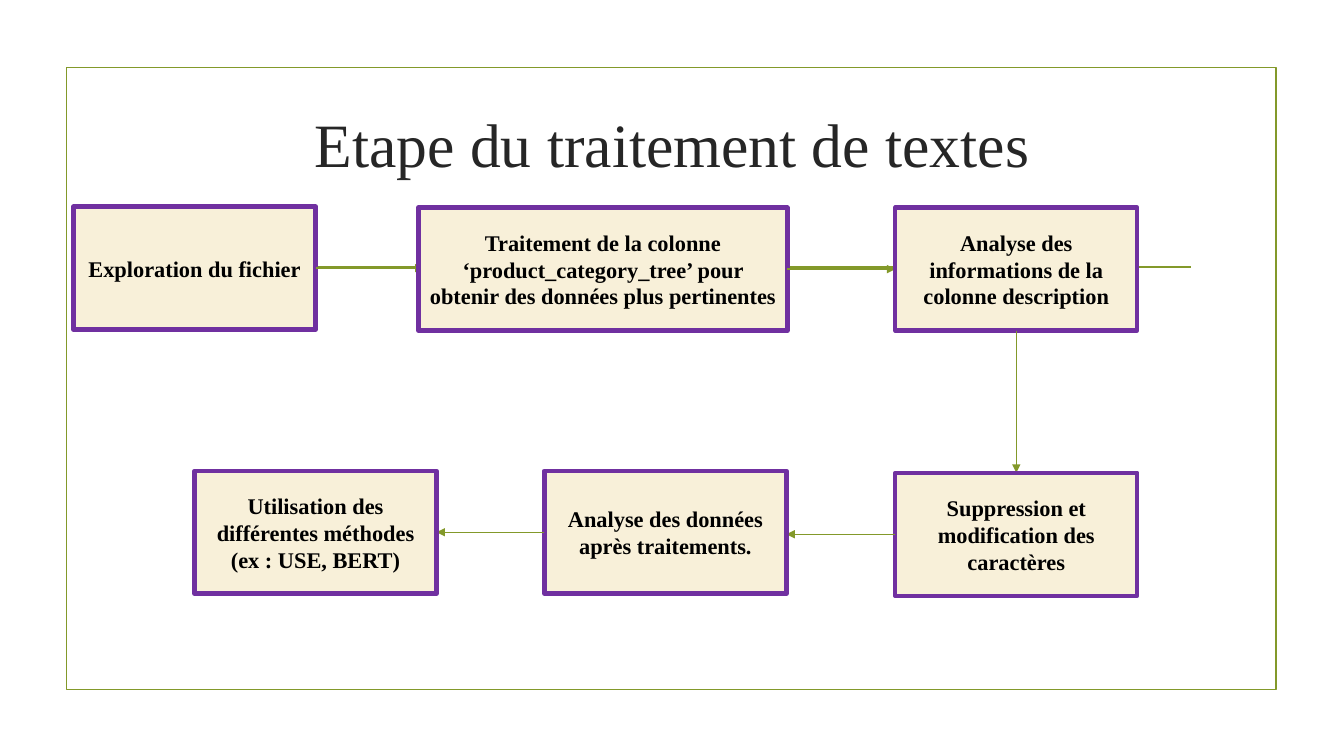
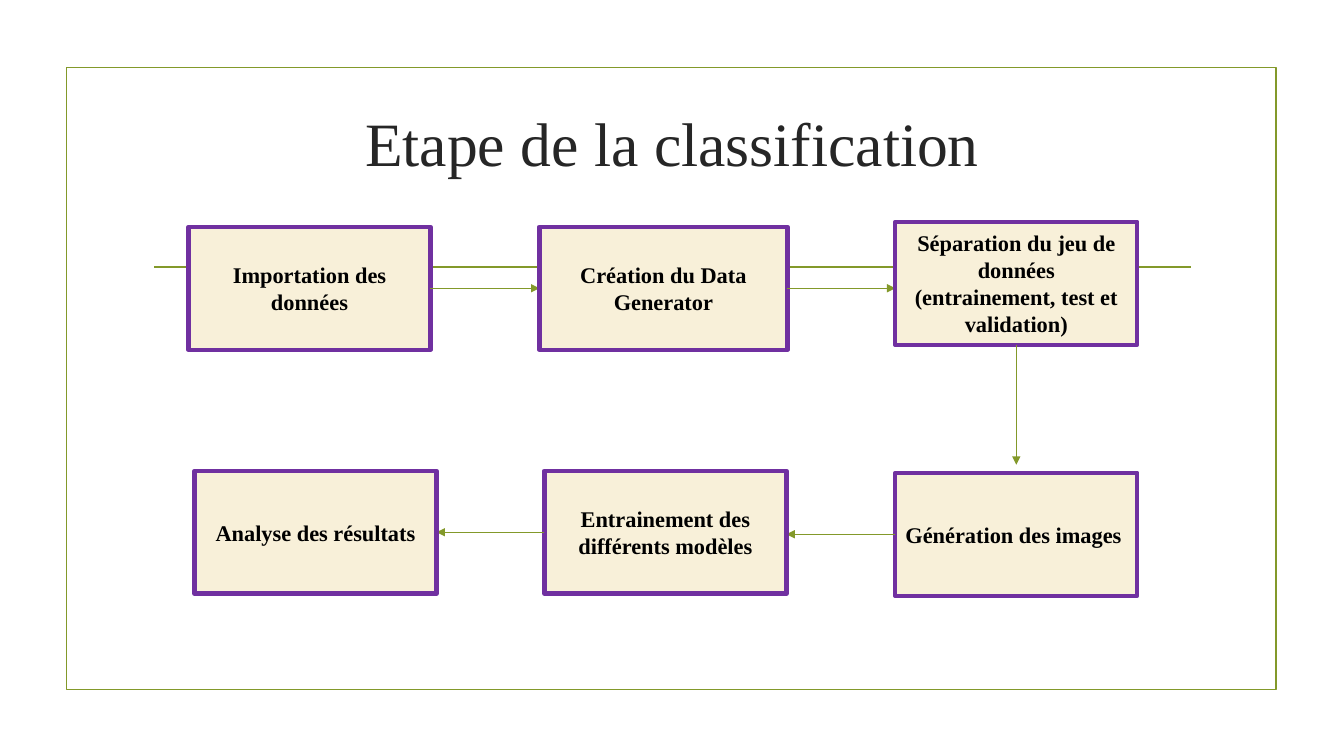
from dataclasses import dataclass

from lxml.etree import SubElement
from pptx import Presentation
from pptx.dml.color import RGBColor
from pptx.enum.shapes import MSO_CONNECTOR, MSO_SHAPE
from pptx.enum.text import MSO_ANCHOR, MSO_AUTO_SIZE, PP_ALIGN
from pptx.oxml.ns import qn
from pptx.shapes.autoshape import Shape
from pptx.slide import Slide
from pptx.util import Inches, Pt

# Shared style
FONT = "Times New Roman"
GREEN = RGBColor(0x83, 0x99, 0x2A)
PURPLE = RGBColor(0x70, 0x30, 0xA0)
CREAM = RGBColor(0xF8, 0xF0, 0xD9)
BLACK = RGBColor(0x00, 0x00, 0x00)
DARK = RGBColor(0x26, 0x26, 0x26)
TALL = 1.22

# Columns and rows of the flow, in inches
LEFT, MID, RIGHT = 1.93, 5.4, 8.88
LOW, LAST = 4.67, 4.69


@dataclass(frozen=True)
class Step:
    text: str
    left: float
    top: float
    width: float = 2.4
    lap: float = 0  # how far the outgoing arrow runs past the next edge


@dataclass(frozen=True)
class Flow:
    title: str
    top: float
    steps: tuple[Step, ...]


FLOWS = (
    Flow("Etape du traitement de textes", 0.7, (
        Step("Exploration du fichier", 0.73, 2.05, lap=0.05),
        Step("Traitement de la colonne ‘product_category_tree’ pour "
             "obtenir des données plus pertinentes", 4.15, 2.06, 3.66),
        Step("Analyse des informations de la colonne description", RIGHT, 2.06),
        Step("Suppression et modification des caractères", RIGHT, LAST),
        Step("Analyse des données après traitements.", MID, LOW),
        Step("Utilisation des différentes méthodes (ex : USE, BERT)", LEFT, LOW),
    )),
    Flow("Etape de la classification", 0.69, (
        Step("Importation des données", 1.87, 2.25),
        Step("Création du Data Generator", 5.35, 2.25, 2.46),
        Step("Séparation du jeu de données (entrainement, test et validation)",
             RIGHT, 2.2, lap=-0.08),
        Step("Génération des images ", RIGHT, LAST),
        Step("Entrainement des différents modèles", MID, LOW),
        Step("Analyse des résultats", LEFT, LOW),
    )),
)


def write(shape: Shape, text: str, size: float, color: RGBColor, bold: bool) -> None:
    frame = shape.text_frame
    frame.word_wrap = True
    frame.auto_size = MSO_AUTO_SIZE.NONE
    frame.vertical_anchor = MSO_ANCHOR.MIDDLE
    para = frame.paragraphs[0]
    para.alignment = PP_ALIGN.CENTER
    run = para.add_run()
    run.text = text
    run.font.name = FONT
    run.font.size = Pt(size)
    run.font.bold = bold
    run.font.color.rgb = color


def add_box(slide: Slide, left: float, top: float, width: float, height: float,
            color: RGBColor, weight: float) -> Shape:
    box = slide.shapes.add_shape(MSO_SHAPE.RECTANGLE, Inches(left), Inches(top),
                                 Inches(width), Inches(height))
    box.shadow.inherit = False
    box.fill.background()
    box.line.color.rgb = color
    box.line.width = Pt(weight)
    return box


def add_line(slide: Slide, start: tuple[float, float], end: tuple[float, float],
             weight: float, arrow: bool = False) -> None:
    line = slide.shapes.add_connector(
        MSO_CONNECTOR.STRAIGHT, *(Inches(n) for n in start + end))
    line.line.color.rgb = GREEN
    line.line.width = Pt(weight)
    if arrow:
        SubElement(line.line._get_or_add_ln(), qn("a:tailEnd"), type="triangle")
    SubElement(line._element.spPr, qn("a:effectLst"))


def add_step(slide: Slide, step: Step) -> None:
    box = add_box(slide, step.left, step.top, step.width, TALL, PURPLE, 3.15)
    box.fill.solid()
    box.fill.fore_color.rgb = CREAM
    write(box, step.text, 16, BLACK, True)


def link(slide: Slide, step: Step, goal: Step) -> None:
    """Join two steps edge to edge: rightward, downward or leftward."""
    mid = step.top + TALL / 2
    if goal.left > step.left:
        start = (step.left + step.width, mid)
        end = (goal.left + step.lap, mid)
    elif goal.left == step.left:
        axis = step.left + step.width / 2
        start = (axis, step.top + TALL)
        end = (axis, goal.top + step.lap)
    else:
        start = (step.left, mid)
        end = (goal.left + goal.width - step.lap, mid)
    add_line(slide, start, end, 0.9, arrow=True)


def add_base(slide: Slide, flow: Flow) -> None:
    # Frame and rule
    add_box(slide, 0.66, 0.67, 12, 6.17, GREEN, 1.25)
    add_line(slide, (1.53, 2.65), (11.81, 2.65), 1.25)
    # Title
    title = slide.shapes.title
    title.left, title.top = Inches(1.42), Inches(flow.top)
    title.width, title.height = Inches(10.5), Inches(1.43)
    write(title, flow.title, 44, DARK, False)


def main() -> None:
    deck = Presentation()
    deck.slide_width, deck.slide_height = Inches(13.33), Inches(7.5)
    for flow in FLOWS:
        slide = deck.slides.add_slide(deck.slide_layouts[5])
        add_base(slide, flow)
        # Each arrow lies over its own step and under the next one
        for step, goal in zip(flow.steps, flow.steps[1:]):
            add_step(slide, step)
            link(slide, step, goal)
        add_step(slide, flow.steps[-1])
    deck.save("out.pptx")


if __name__ == "__main__":
    main()
